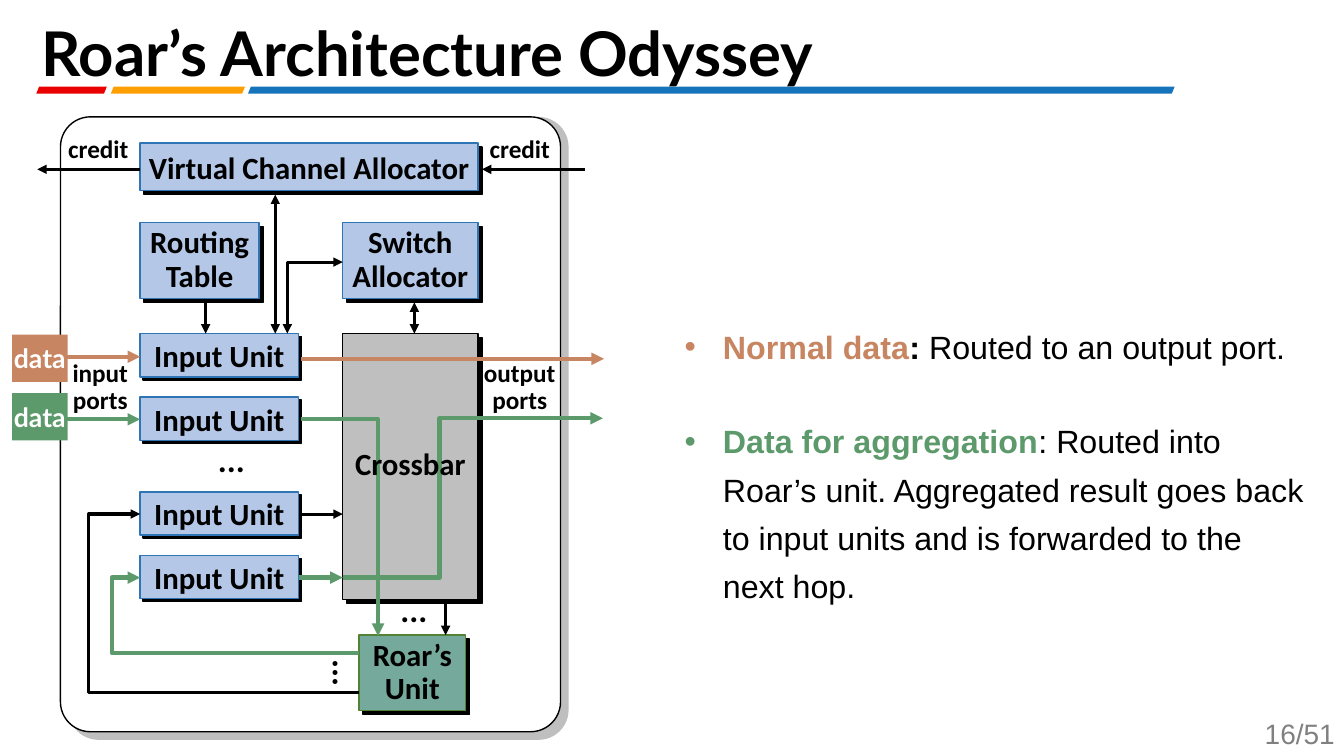
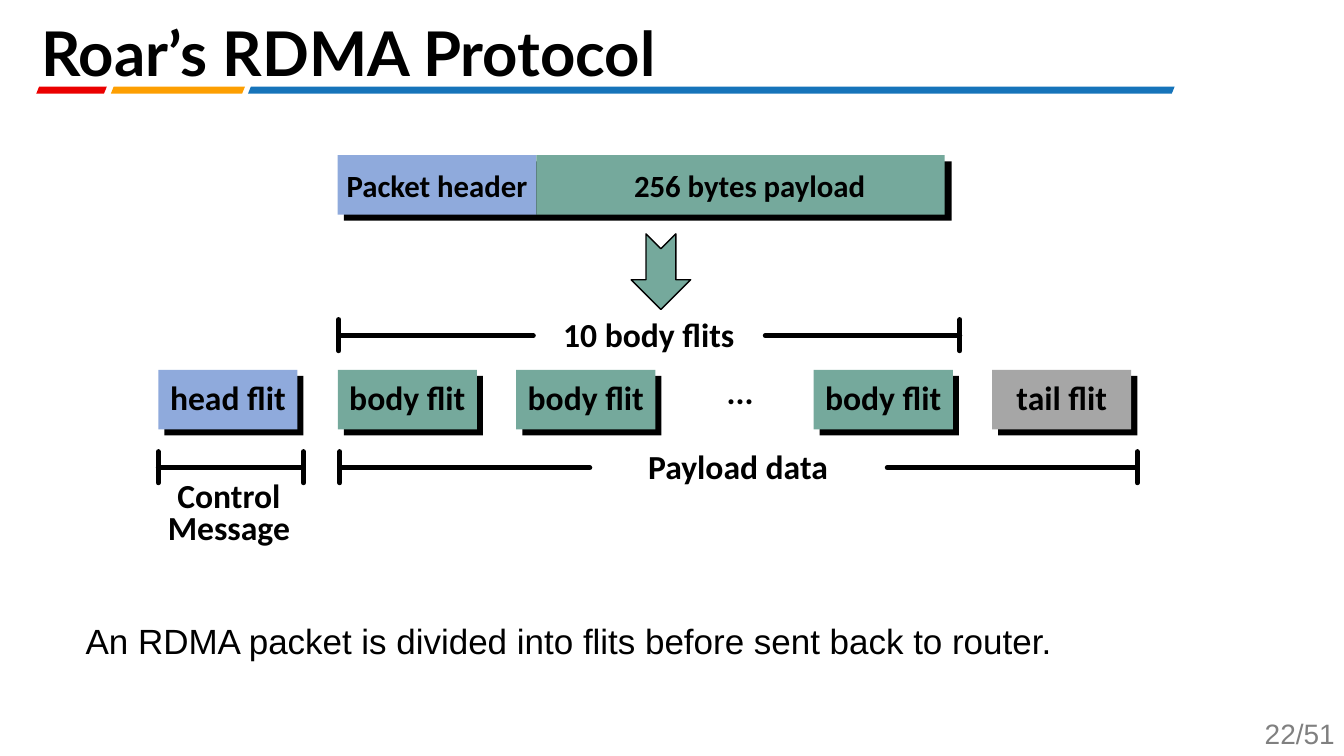
"""Build two slides on a router architecture and its packet protocol."""
from lxml import etree
from pptx import Presentation
from pptx.dml.color import RGBColor
from pptx.enum.shapes import MSO_CONNECTOR, MSO_SHAPE
from pptx.enum.text import MSO_ANCHOR, PP_ALIGN
from pptx.oxml.ns import qn
from pptx.util import Inches, Pt

RECT, ROUNDED = MSO_SHAPE.RECTANGLE, MSO_SHAPE.ROUNDED_RECTANGLE
SLANTED, NOTCHED = MSO_SHAPE.PARALLELOGRAM, MSO_SHAPE.NOTCHED_RIGHT_ARROW
STRAIGHT, ELBOW = MSO_CONNECTOR.STRAIGHT, MSO_CONNECTOR.ELBOW
TOP, MIDDLE, BOTTOM = MSO_ANCHOR.TOP, MSO_ANCHOR.MIDDLE, MSO_ANCHOR.BOTTOM
LEFT, CENTER, RIGHT = PP_ALIGN.LEFT, PP_ALIGN.CENTER, PP_ALIGN.RIGHT

BLACK, WHITE, GRAY = "000000", "FFFFFF", "BFBFBF"
PALE_BLUE, BLUE_EDGE, HEADER_BLUE = "B4C7E7", "2E75B6", "8FAADC"
TEAL, TEAL_EDGE, TAIL_GRAY = "75A99C", "548235", "A6A6A6"
NORMAL, AGGREGATE = "C78561", "5D9A6B"
STRIPES = [(2.46, 9.19, "1674BA"), (0.36, 0.7, "EB0000"), (1.1, 1.33, "FD9F02")]
BODY = {"font": "Arial", "bold": False, "align": LEFT}

rgb = RGBColor.from_string


def block(slide, at, text="", fill=None, line=None, shadow=0, kind=RECT, adjust=None,
          size=22, font="Calibri", color=BLACK, bold=True, align=CENTER,
          spacing=1.0, anchor=None):
    """Add a filled shape, or a text box when there is no fill."""
    x, y, width, height = at
    if shadow:
        block(slide, (x + shadow, y + shadow, width, height), fill=BLACK, line=line and BLACK)
    frame = [Inches(v) for v in at]
    if fill:
        shape = slide.shapes.add_shape(kind, *frame)
        shape.shadow.inherit = False
        shape.fill.solid()
        shape.fill.fore_color.rgb = rgb(fill)
        if line:
            shape.line.color.rgb = rgb(line)
            shape.line.width = Pt(1)
        else:
            shape.line.fill.background()
        if adjust is not None:
            shape.adjustments[0] = adjust
    else:
        shape = slide.shapes.add_textbox(*frame)
    body = shape.text_frame
    layout = {"word_wrap": True, "vertical_anchor": anchor or (MIDDLE if fill else TOP),
              "margin_left": 0, "margin_right": 0, "margin_top": 0, "margin_bottom": 0}
    for name, value in layout.items():
        setattr(body, name, value)
    if text:
        body.text = text
        for paragraph in body.paragraphs:
            paragraph.alignment = align
            paragraph.line_spacing = spacing
            for name, value in {"size": Pt(size), "name": font, "bold": bold}.items():
                setattr(paragraph.runs[0].font, name, value)
            paragraph.runs[0].font.color.rgb = rgb(color)
    return shape


def wire(slide, start, end, color=BLACK, width=2.25, heads=("tailEnd",), turn=None):
    """Add a straight wire, or one that bends at the x position given by turn."""
    link = slide.shapes.add_connector(
        STRAIGHT if turn is None else ELBOW, *[Inches(v) for v in (*start, *end)])
    link.line.color.rgb = rgb(color)
    link.line.width = Pt(width)
    properties = link._element.spPr
    outline = properties.find(qn("a:ln"))
    for head in heads:
        etree.SubElement(outline, qn(f"a:{head}"), type="triangle")
    if not heads:
        outline.set("cap", "rnd")
    etree.SubElement(properties, qn("a:effectLst"))
    if turn is not None:
        geometry = properties.find(qn("a:prstGeom"))
        if turn == end[0]:
            geometry.set("prst", "bentConnector2")
        else:
            share = round((turn - start[0]) / (end[0] - start[0]) * 100000)
            etree.SubElement(geometry.find(qn("a:avLst")), qn("a:gd"),
                             name="adj1", fmla=f"val {share}")


deck = Presentation()
deck.slide_width, deck.slide_height = Inches(13.33), Inches(7.5)

slides = []
for title, page in [("Roar’s Architecture Odyssey", "16/51"), ("Roar’s RDMA Protocol", "22/51")]:
    slide = deck.slides.add_slide(deck.slide_layouts[6])
    for x, width, color in STRIPES:
        block(slide, (x, 0.86, width, 0.07), fill=color, kind=SLANTED, adjust=0.4)
    block(slide, (12.2, 7.11, 1.04, 0.34), page, size=20, color="808080",
          **{**BODY, "align": RIGHT})
    block(slide, (0.41, 0, 12.55, 0.85), title, size=44, font="Lato", align=LEFT,
          spacing=0.6, anchor=BOTTOM)
    slides.append(slide)
architecture, protocol = slides

block(architecture, (0.68, 1.16, 4.96, 6.18), fill=GRAY, kind=ROUNDED, adjust=0.06)
block(architecture, (0.6, 1.16, 4.96, 6.1), fill=WHITE, line=BLACK, kind=ROUNDED, adjust=0.06)

for at, text, fill, edge in [
    ((1.39, 1.42, 3.35, 0.47), "Virtual Channel Allocator", PALE_BLUE, BLUE_EDGE),
    ((1.39, 2.21, 1.18, 0.75), "Routing\nTable", PALE_BLUE, BLUE_EDGE),
    ((3.4, 2.21, 1.34, 0.75), "Switch\nAllocator", PALE_BLUE, BLUE_EDGE),
    ((3.4, 3.31, 1.34, 2.64), "", GRAY, BLACK),
    ((3.56, 6.3, 1.06, 0.75), "Roar’s\nUnit", TEAL, TEAL_EDGE),
]:
    block(architecture, at, text, fill, edge, shadow=0.04, spacing=0.9 if "\n" in text else 1.0)
for y in (3.31, 3.94, 4.88, 5.51):
    block(architecture, (1.39, y, 1.57, 0.43), "Input Unit", PALE_BLUE, BLUE_EDGE, shadow=0.03)

both = ("headEnd", "tailEnd")
for start, end, heads in [
    ((1.39, 1.68), (0.37, 1.68), ("tailEnd",)),
    ((5.8, 1.68), (4.78, 1.68), ("tailEnd",)),
    ((2.73, 1.93), (2.73, 3.31), both),
    ((2.04, 3), (2.04, 3.31), ("tailEnd",)),
    ((4.11, 3.31), (4.11, 3), both),
    ((2.97, 5.1), (3.4, 5.1), ("tailEnd",)),
    ((4.42, 5.99), (4.42, 6.3), ("tailEnd",)),
]:
    wire(architecture, start, end, heads=heads)
wire(architecture, (3.4, 2.6), (2.85, 3.31), heads=both, turn=2.85)
wire(architecture, (1.39, 5.1), (3.56, 6.87), heads=("headEnd",), turn=0.88)

for start, end, color in [
    ((0.37, 3.54), (1.39, 3.54), NORMAL),
    ((2.99, 3.56), (5.99, 3.56), NORMAL),
    ((0.37, 4.16), (1.39, 4.16), AGGREGATE),
    ((2.97, 5.73), (3.4, 5.73), AGGREGATE),
]:
    wire(architecture, start, end, color, 3)
wire(architecture, (1.39, 5.73), (3.56, 6.48), AGGREGATE, 3, ("headEnd",), turn=1.11)
wire(architecture, (3.4, 5.73), (5.98, 4.15), AGGREGATE, 3, turn=4.36)
wire(architecture, (2.99, 4.16), (3.75, 6.31), AGGREGATE, 3, turn=3.75)

for y, color in [(3.32, NORMAL), (3.9, AGGREGATE)]:
    block(architecture, (0.12, y, 0.55, 0.47), "data", color, size=19, font="Lato", color=WHITE)
for at, text, size in [
    ((0.6, 1.32, 0.75, 0.39), "credit", 18),
    ((4.78, 1.32, 0.75, 0.39), "credit", 18),
    ((0.56, 3.58, 0.87, 0.63), "input\nports", 18),
    ((4.72, 3.58, 0.87, 0.63), "output\nports", 18),
    ((3.52, 4.41, 1.1, 0.39), "Crossbar", 22),
    ((1.9, 4.35, 0.79, 0.4), "...", 24),
    ((3.71, 5.84, 0.79, 0.4), "...", 24),
]:
    block(architecture, at, text, size=size, spacing=0.9 if "\n" in text else 1.0)
block(architecture, (3.04, 6.48, 0.79, 0.4), "...", size=24).rotation = 90

data_kinds = [
    [("Normal data", NORMAL, True), (":", BLACK, True),
     (" Routed to an output port.", BLACK, False)],
    [("Data for aggregation", AGGREGATE, True),
     (": Routed into Roar’s unit. Aggregated result goes back to input units "
      "and is forwarded to the next hop.", BLACK, False)],
]
explanation = block(architecture, (6.79, 3.15, 6.23, 2.8)).text_frame
for index, parts in enumerate(data_kinds):
    paragraph = explanation.add_paragraph() if index else explanation.paragraphs[0]
    paragraph.line_spacing = 1.25
    paragraph.space_before = Pt(33 * index)
    indent = paragraph._p.get_or_add_pPr()
    indent.set("marL", str(Inches(0.38)))
    indent.set("indent", str(-Inches(0.38)))
    etree.SubElement(indent, qn("a:buFont"), typeface="Arial")
    etree.SubElement(indent, qn("a:buChar"), char="•")
    for text, color, bold in parts:
        run = paragraph.add_run()
        run.text = text
        for name, value in {"size": Pt(23), "name": "Arial", "bold": bold}.items():
            setattr(run.font, name, value)
        run.font.color.rgb = rgb(color)

block(protocol, (0.85, 6.15, 12.2, 0.41),
      "An RDMA packet is divided into flits before sent back to router.", size=25, **BODY)
block(protocol, (3.41, 1.6, 6.03, 0.59), fill=BLACK)
block(protocol, (3.35, 1.54, 1.97, 0.59), "Packet header", HEADER_BLUE)
payload = block(protocol, (5.32, 1.54, 4.05, 0.59), "256 bytes payload", TEAL)
payload.text_frame.margin_left = Inches(0.18)
block(protocol, (6.18, 2.4, 0.75, 0.59), fill=TEAL, line=BLACK, kind=NOTCHED).rotation = 90

for x, text, fill in [
    (1.57, "head flit", HEADER_BLUE), (3.35, "body flit", TEAL), (5.12, "body flit", TEAL),
    (8.07, "body flit", TEAL), (9.84, "tail flit", TAIL_GRAY),
]:
    block(protocol, (x, 3.67, 1.38, 0.59), text, fill, shadow=0.06, size=24, spacing=0.9)

for left, right, y, reach in [(3.36, 9.52, 3.33, 1.93), (3.37, 11.28, 4.64, 2.48),
                              (1.57, 3.01, 4.64, 0)]:
    for x in (left, right):
        wire(protocol, (x, y - 0.16), (x, y + 0.15), width=3.5, heads=())
    spans = [(left, left + reach), (right - reach, right)] if reach else [(left, right)]
    for begin, finish in spans:
        wire(protocol, (begin, y), (finish, y), width=3.5, heads=())

for at, text, spacing in [
    ((6.85, 3.79, 0.98, 0.39), "...", 0.7),
    ((5.55, 3.11, 1.77, 0.43), "10 body flits", 1.0),
    ((6.18, 4.42, 2.28, 0.43), "Payload data", 1.0),
    ((1.58, 4.79, 1.38, 0.79), "Control\nMessage", 0.8),
]:
    block(protocol, at, text, size=24, spacing=spacing)

deck.save("out.pptx")
